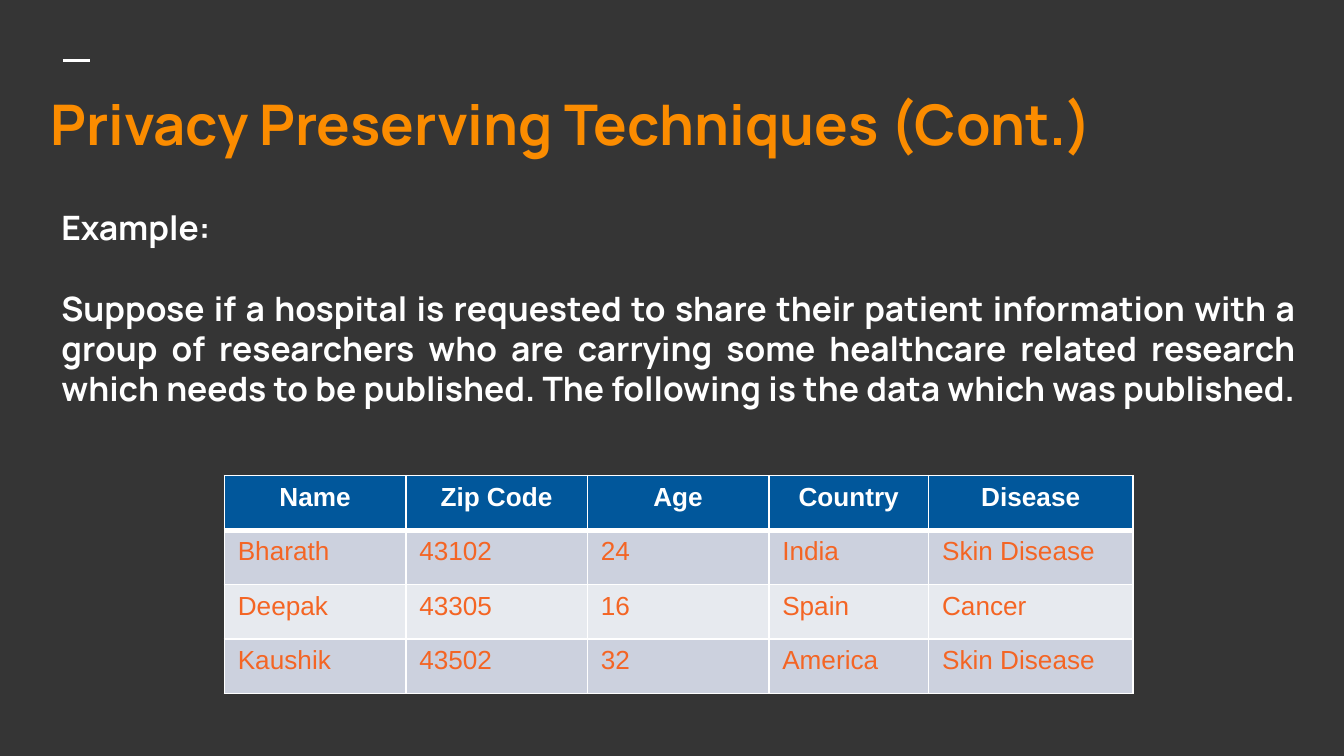
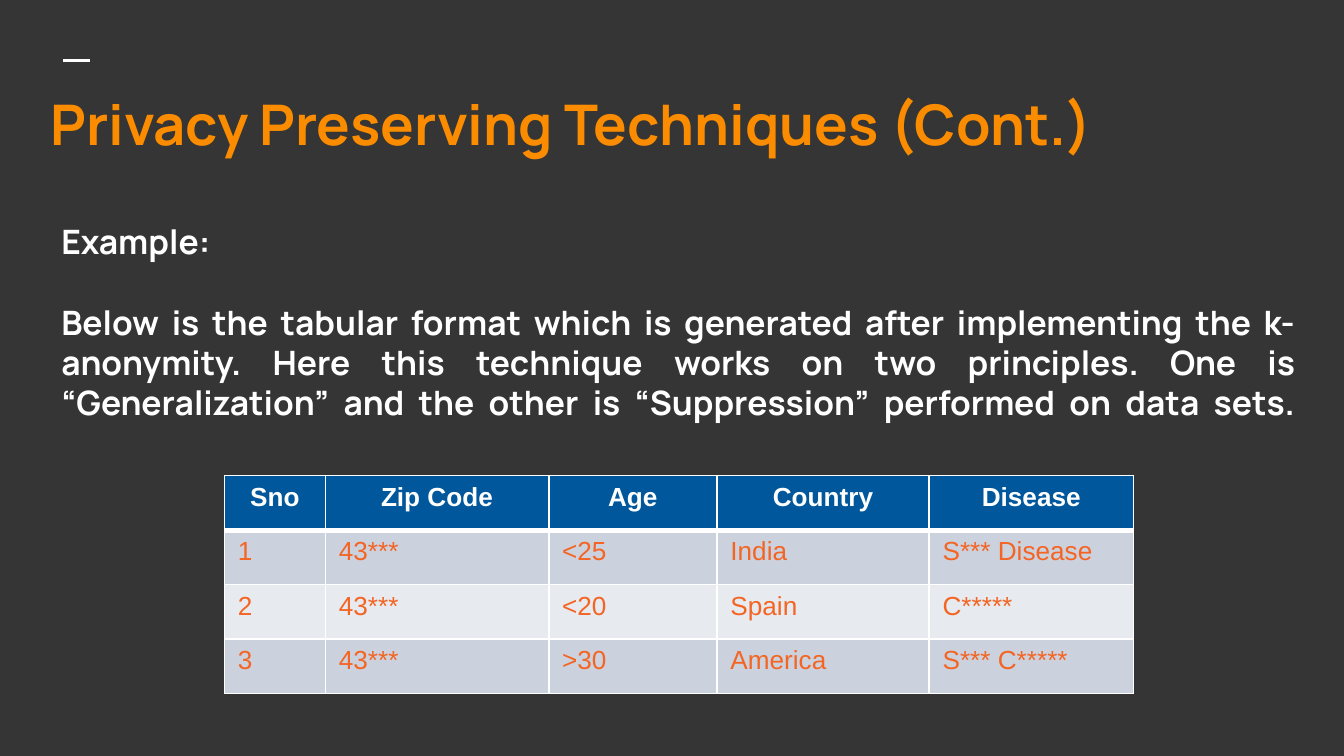
from dataclasses import dataclass

from lxml import etree
from pptx import Presentation
from pptx.dml.color import RGBColor
from pptx.enum.shapes import MSO_CONNECTOR
from pptx.enum.text import MSO_ANCHOR, PP_ALIGN
from pptx.oxml.ns import qn
from pptx.slide import Slide
from pptx.table import _Cell
from pptx.text.text import _Paragraph
from pptx.util import Cm, Pt

STRAIGHT = MSO_CONNECTOR.STRAIGHT
TOP = MSO_ANCHOR.TOP
LEFT, CENTER, JUSTIFY = PP_ALIGN.LEFT, PP_ALIGN.CENTER, PP_ALIGN.JUSTIFY
BORDER_SIDES = ("a:lnL", "a:lnR", "a:lnT", "a:lnB")
BLANK_LAYOUT = 6


@dataclass(frozen=True)
class TextStyle:
    """Font, size, colour and weight of a text."""
    font: str
    size: float
    color: str
    bold: bool


@dataclass(frozen=True)
class Theme:
    """Colours and text styles shared by the slides."""
    background: str = "353535"
    rule: str = "FFFFFF"
    header_fill: str = "01579B"
    band_fills: tuple[str, str] = ("CCD1DE", "E7EAEF")
    title: TextStyle = TextStyle("Manrope", 30, "FB8C00", True)
    body: TextStyle = TextStyle("Manrope", 18, "FFFFFF", True)
    header: TextStyle = TextStyle("Arial", 14, "FFFFFF", True)
    cell: TextStyle = TextStyle("Arial", 14, "F46524", False)
    body_line: float = 21.6
    border: float = 1
    header_border: float = 3


@dataclass(frozen=True)
class ExampleSlide:
    """Explanation and data table of one example."""
    explanation: str
    body_top: float
    column_widths: tuple[float, ...]
    rows: tuple[tuple[str, ...], ...]


THEME = Theme()
TITLE = "Privacy Preserving Techniques (Cont.)"
ROW_HEIGHT = 1.03

EXAMPLES = (
    ExampleSlide(
        "Suppose if a hospital is requested to share their patient information "
        "with a group of researchers who are carrying some healthcare related "
        "research which needs to be published. The following is the data which "
        "was published.",
        3.91,
        (3.43, 3.43, 3.43, 3.02, 3.86),
        (
            ("Name", "Zip Code", "Age", "Country", "Disease"),
            ("Bharath", "43102", "24", "India", "Skin Disease"),
            ("Deepak", "43305", "16", "Spain", "Cancer"),
            ("Kaushik", "43502", "32", "America", "Skin Disease"),
        ),
    ),
    ExampleSlide(
        "Below is the tabular format which is generated after implementing the "
        "k-anonymity. Here this technique works on two principles. One is "
        "“Generalization” and the other is “Suppression” performed on data sets.",
        4.18,
        (1.91, 4.22, 3.18, 4.01, 3.86),
        (
            ("Sno", "Zip Code", "Age", "Country", "Disease"),
            ("1", "43***", "<25", "India", "S*** Disease"),
            ("2", "43***", "<20", "Spain", "C*****"),
            ("3", "43***", ">30", "America", "S*** C*****"),
        ),
    ),
)


def format_paragraph(paragraph: _Paragraph, style: TextStyle, alignment: PP_ALIGN) -> None:
    """Apply a text style and an alignment to a paragraph."""
    paragraph.alignment = alignment
    for run in paragraph.runs:
        run.font.name = style.font
        run.font.size = Pt(style.size)
        run.font.bold = style.bold
        run.font.color.rgb = RGBColor.from_string(style.color)


def add_rule(slide: Slide) -> None:
    """Draw the short rule above the title."""
    rule = slide.shapes.add_connector(STRAIGHT, Cm(1.19), Cm(1.14), Cm(1.7), Cm(1.14))
    rule.line.color.rgb = RGBColor.from_string(THEME.rule)
    rule.line.width = Pt(1.5)
    etree.SubElement(rule._element.spPr, qn("a:effectLst"))


def add_title(slide: Slide) -> None:
    """Add the title shared by the slides."""
    shape = slide.shapes.add_textbox(Cm(0.71), Cm(1.45), Cm(23.98), Cm(1.8))
    frame = shape.text_frame
    frame.word_wrap = True
    frame.margin_top = frame.margin_bottom = Cm(0.25)
    frame.text = TITLE
    format_paragraph(frame.paragraphs[0], THEME.title, LEFT)


def add_explanation(slide: Slide, example: ExampleSlide) -> None:
    """Add the example heading and its fully justified explanation."""
    shape = slide.shapes.add_textbox(Cm(0.91), Cm(example.body_top), Cm(23.83), Cm(4.7))
    frame = shape.text_frame
    frame.word_wrap = True
    frame.vertical_anchor = TOP
    frame.margin_top = frame.margin_bottom = 0
    frame.text = f"Example:\n{example.explanation}\v"
    for paragraph in frame.paragraphs:
        format_paragraph(paragraph, THEME.body, JUSTIFY)
        paragraph.line_spacing = Pt(THEME.body_line)
    frame.paragraphs[1].space_before = Pt(THEME.body_line)


def set_borders(cell: _Cell, bottom_width: float, top_width: float) -> None:
    """Outline a cell, with its own widths at the bottom and the top."""
    properties = cell._tc.get_or_add_tcPr()
    widths = {"a:lnB": bottom_width, "a:lnT": top_width}
    for index, side in enumerate(BORDER_SIDES):
        width = Pt(widths.get(side, THEME.border))
        line = etree.Element(qn(side), w=str(width))
        fill = etree.SubElement(line, qn("a:solidFill"))
        etree.SubElement(fill, qn("a:srgbClr"), val=THEME.rule)
        properties.insert(index, line)


def add_data_table(slide: Slide, example: ExampleSlide) -> None:
    """Add the table with a header row and banded data rows."""
    row_count, column_count = len(example.rows), len(example.column_widths)
    frame = slide.shapes.add_table(
        row_count, column_count, Cm(4.24), Cm(8.99),
        Cm(sum(example.column_widths)), Cm(ROW_HEIGHT * row_count),
    )
    table = frame.table
    table.horz_banding = False
    for column, width in zip(table.columns, example.column_widths):
        column.width = Cm(width)
    for row_index, values in enumerate(example.rows):
        is_header = row_index == 0
        fill = THEME.header_fill if is_header else THEME.band_fills[(row_index - 1) % 2]
        style = THEME.header if is_header else THEME.cell
        bottom_width = THEME.header_border if is_header else THEME.border
        top_width = THEME.header_border if row_index == 1 else THEME.border
        table.rows[row_index].height = Cm(ROW_HEIGHT)
        for column_index, value in enumerate(values):
            cell = table.cell(row_index, column_index)
            cell.text = value
            cell.fill.solid()
            cell.fill.fore_color.rgb = RGBColor.from_string(fill)
            format_paragraph(cell.text_frame.paragraphs[0], style, CENTER if is_header else LEFT)
            set_borders(cell, bottom_width, top_width)


def main() -> None:
    """Build and save the presentation."""
    presentation = Presentation()
    presentation.slide_width = Cm(25.4)
    presentation.slide_height = Cm(14.29)
    for example in EXAMPLES:
        slide = presentation.slides.add_slide(presentation.slide_layouts[BLANK_LAYOUT])
        slide.background.fill.solid()
        slide.background.fill.fore_color.rgb = RGBColor.from_string(THEME.background)
        add_rule(slide)
        add_title(slide)
        add_explanation(slide, example)
        add_data_table(slide, example)
    presentation.save("out.pptx")


if __name__ == "__main__":
    main()
